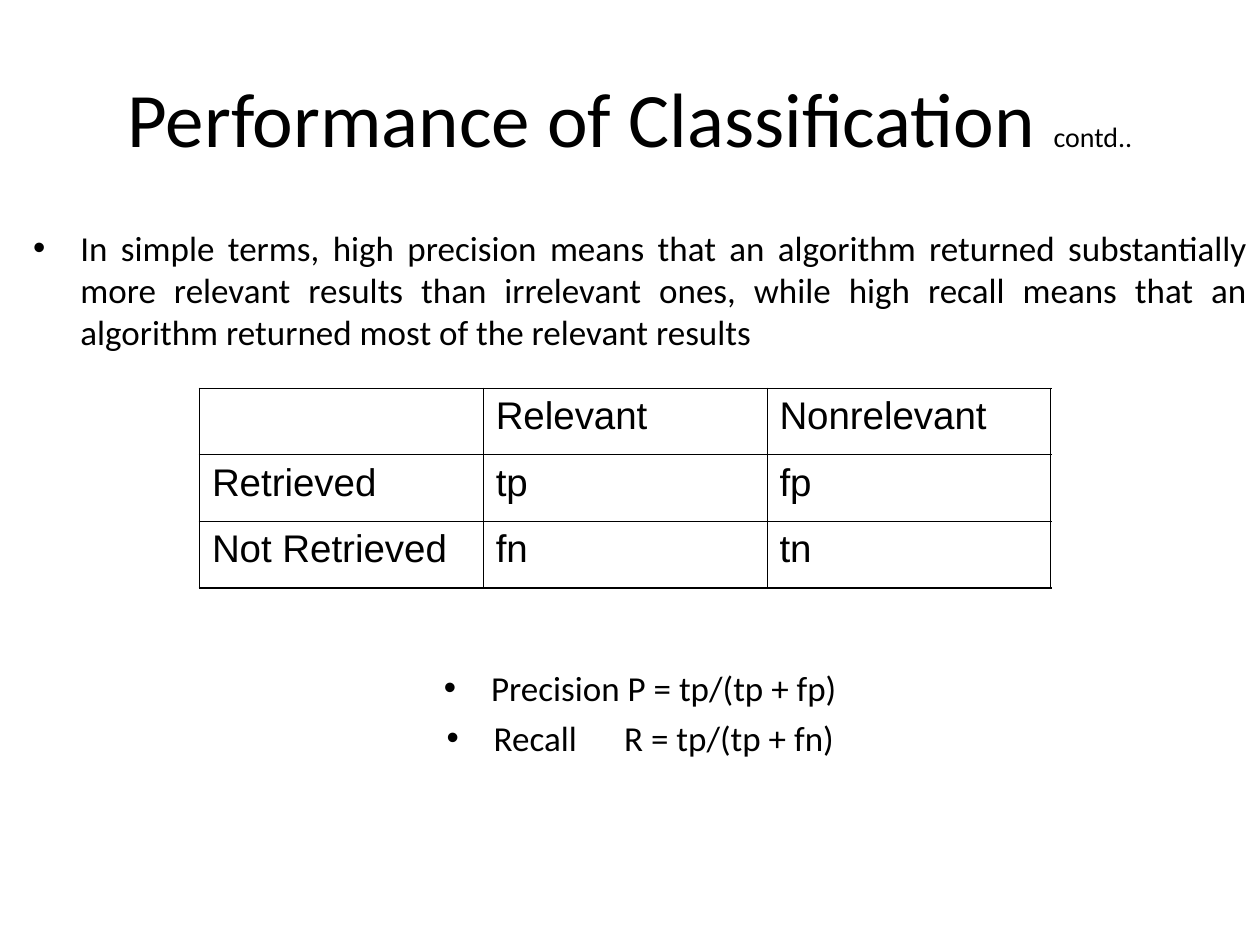
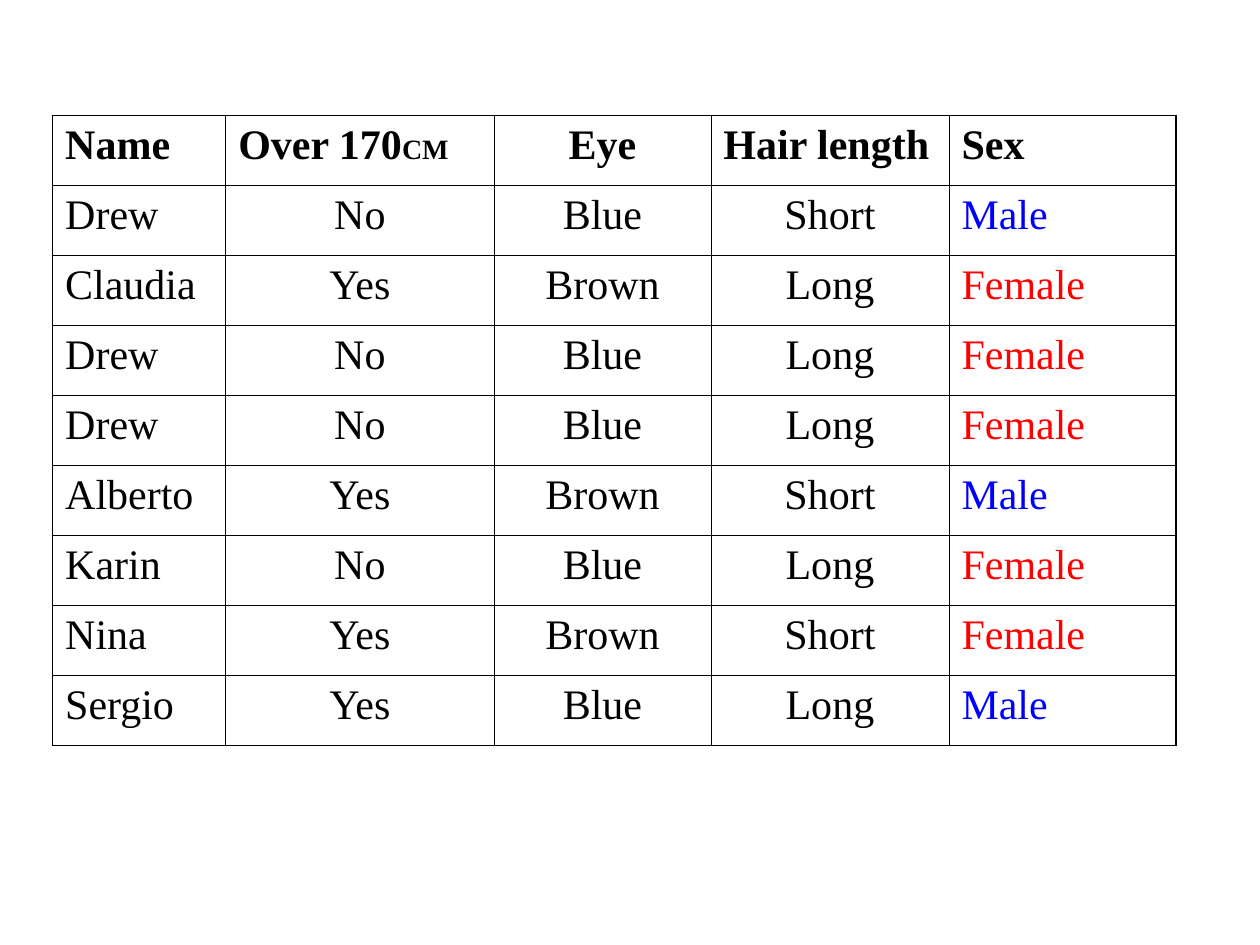
from lxml.etree import SubElement as Sub
from pptx import Presentation
from pptx.dml.color import RGBColor
from pptx.enum.text import MSO_ANCHOR, PP_ALIGN
from pptx.oxml.ns import qn
from pptx.util import Cm, Pt

# Content: a text is a list of (words, format changes)
TITLE = [("Performance of Classification ", {}), ("contd..", {"size": 16})]
POINTS = [  # alignment, space before, runs
    (PP_ALIGN.JUSTIFY, 0, [(
        "In simple terms, high precision means that an algorithm returned "
        "substantially more relevant results than irrelevant ones, while high "
        "recall means that an algorithm returned most of the relevant results",
        {})]),
    (PP_ALIGN.CENTER, 179, [("Precision P = tp/(tp + fp)", {})]),
    (PP_ALIGN.CENTER, 5, [("Recall", {}), (" ", {"gap": 22.4}),
                          ("R = tp/(tp + fn)", {})]),
]
COUNTS = [
    ("", "Relevant", "Nonrelevant"),
    ("Retrieved", "tp", "fp"),
    ("Not Retrieved", "fn", "tn"),
]
PEOPLE = [
    ("Name", "Over 170CM", "Eye", "Hair length", "Sex"),
    ("Drew", "No", "Blue", "Short", "Male"),
    ("Claudia", "Yes", "Brown", "Long", "Female"),
    ("Drew", "No", "Blue", "Long", "Female"),
    ("Drew", "No", "Blue", "Long", "Female"),
    ("Alberto", "Yes", "Brown", "Short", "Male"),
    ("Karin", "No", "Blue", "Long", "Female"),
    ("Nina", "Yes", "Brown", "Short", "Female"),
    ("Sergio", "Yes", "Blue", "Long", "Male"),
]

# Shared styles
INK = "000000"
SEX = {"Male": "0000FF", "Female": "FF0000"}
HEAD = {"name": "Calibri", "size": 44, "color": INK}
BODY = HEAD | {"size": 20}
SANS = {"name": "Arial", "size": 22, "color": INK}
SERIF = {"name": "Times New Roman", "size": 24, "color": INK}
THIN, THICK = 0.45, 1.08
INDENT = Cm(0.95)


def rgb(code):
    return RGBColor.from_string(code)


def write(para, runs, base):
    for words, extra in runs:
        run = para.add_run()
        run.text = words
        for key, val in (base | extra).items():
            if key == "color":
                run.font.color.rgb = rgb(val)
            elif key == "gap":
                run._r.get_or_add_rPr().set("spc", str(round(val * 100)))
            else:
                setattr(run.font, key, Pt(val) if key == "size" else val)


def bullet(para):
    props = para._p.get_or_add_pPr()
    props.set("marL", str(INDENT))
    props.set("indent", str(-INDENT))
    Sub(Sub(props, qn("a:buClr")), qn("a:srgbClr"), val=INK)
    Sub(props, qn("a:buFont"), typeface="Arial")
    Sub(props, qn("a:buChar"), char="•")


def edge(cell, side, width):
    line = Sub(cell._tc.get_or_add_tcPr(), qn("a:ln" + side), w=str(Pt(width)))
    Sub(Sub(line, qn("a:solidFill")), qn("a:srgbClr"), val=INK)


def grid(slide, rows, left, top, widths, high, style):
    """Draw a ruled table; style(row, col, words) gives align, runs, format."""
    count, wide = len(rows), len(widths)
    table = slide.shapes.add_table(count, wide, Cm(left), Cm(top),
                                   Cm(sum(widths)), Cm(high)).table
    table.first_row = table.horz_banding = False
    for col, width in zip(table.columns, widths):
        col.width = Cm(width)
    for r, row in enumerate(rows):
        table.rows[r].height = Cm(high / count)
        for c, words in enumerate(row):
            cell = table.cell(r, c)
            outer = {"L": c == 0, "R": c == wide - 1,
                     "T": r == 0, "B": r == count - 1}
            for side, out in outer.items():
                edge(cell, side, THICK if out else THIN)
            cell.fill.background()
            if words:
                para = cell.text_frame.paragraphs[0]
                para.alignment, runs, base = style(r, c, words)
                write(para, runs, base)


def plain(r, c, words):
    return PP_ALIGN.LEFT, [(words, {})], SANS


def person(r, c, words):
    mid = c == 2 or (r > 0 and c in (1, 3))
    runs = [(words, {})]
    if words.endswith("CM"):
        runs = [(words[:-2], {}), ("CM", {"size": 16})]
    base = SERIF | {"bold": r == 0, "color": SEX.get(words, INK)}
    return PP_ALIGN.CENTER if mid else PP_ALIGN.LEFT, runs, base


def place(shape, left, top, width, high):
    shape.left, shape.top = Cm(left), Cm(top)
    shape.width, shape.height = Cm(width), Cm(high)


def measures(deck):
    slide = deck.slides.add_slide(deck.slide_layouts[5])
    # Title
    title = slide.shapes.title
    place(title, 1.27, 0.76, 22.86, 3.18)
    title.text_frame.vertical_anchor = MSO_ANCHOR.MIDDLE
    para = title.text_frame.paragraphs[0]
    para.alignment = PP_ALIGN.CENTER
    write(para, TITLE, HEAD)
    # Points
    frame = slide.shapes.add_textbox(
        Cm(0.42), Cm(4.45), Cm(24.98), Cm(13.97)).text_frame
    frame.word_wrap = True
    for i, (align, space, runs) in enumerate(POINTS):
        para = frame.add_paragraph() if i else frame.paragraphs[0]
        bullet(para)
        para.alignment, para.space_before = align, Pt(space)
        write(para, runs, BODY)
    # Counts
    grid(slide, COUNTS, 4.02, 7.83, [5.72] * 3, 4.02, plain)


def people(deck):
    slide = deck.slides.add_slide(deck.slide_layouts[6])
    grid(slide, PEOPLE, 1.06, 2.33, [3.49, 5.41, 4.37, 4.8, 4.57], 12.7, person)


def main():
    deck = Presentation()
    deck.slide_width, deck.slide_height = Cm(25.4), Cm(19.05)
    measures(deck)
    people(deck)
    deck.save("out.pptx")


if __name__ == "__main__":
    main()
